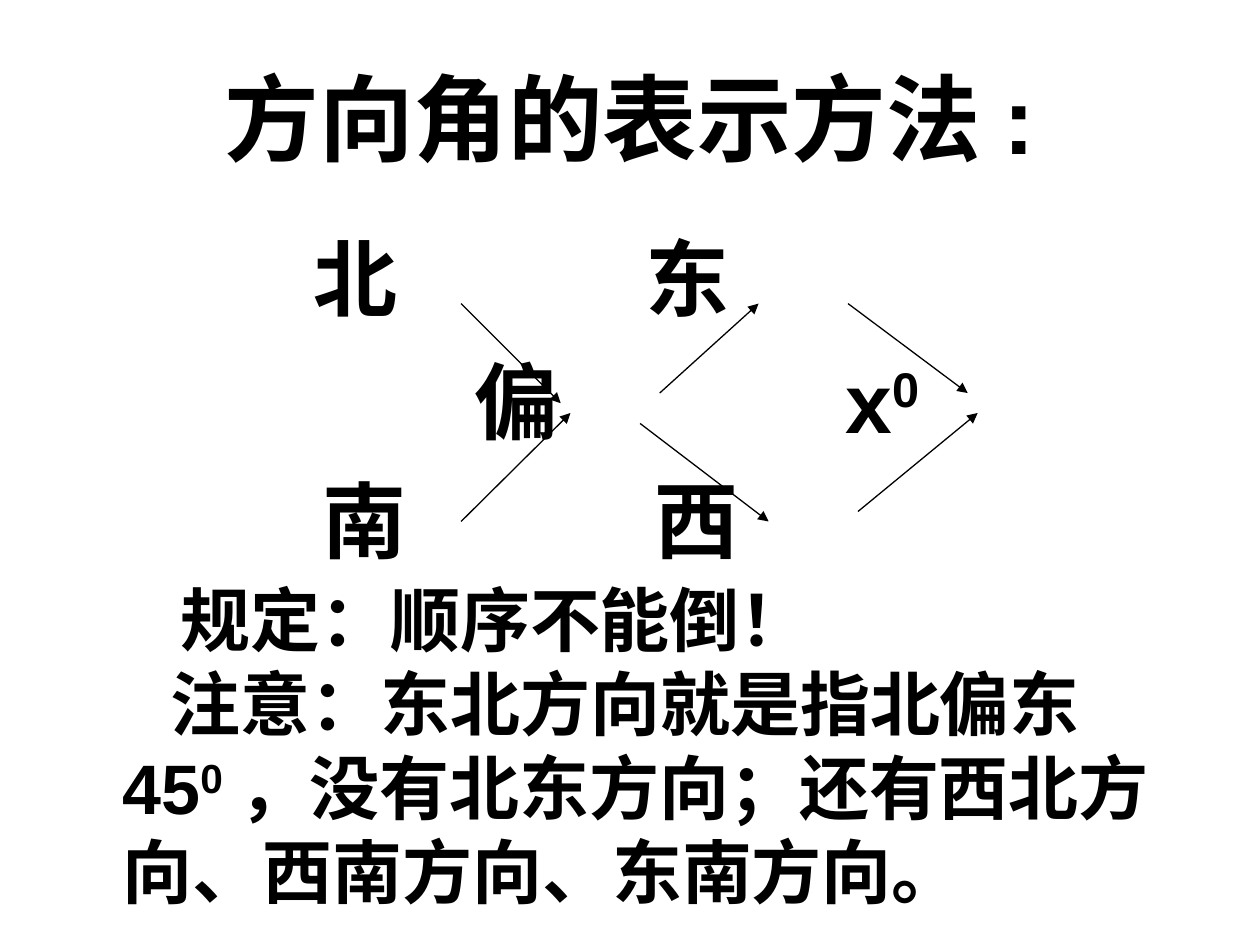
from typing import NamedTuple

from lxml.etree import SubElement
from pptx import Presentation
from pptx.dml.color import RGBColor
from pptx.enum.lang import MSO_LANGUAGE_ID as Language
from pptx.enum.shapes import MSO_CONNECTOR as Connector
from pptx.enum.text import MSO_ANCHOR as Anchor, PP_ALIGN as Align
from pptx.oxml.ns import qn
from pptx.util import Pt

FONT = "Arial"
BLACK = "000000"


class Arrow(NamedTuple):
    x1: float
    y1: float
    x2: float
    y2: float


class Word(NamedTuple):
    text: str
    left: float
    top: float


class Line(NamedTuple):
    """One paragraph; ^ sets off superscript parts."""
    text: str
    size: float
    left: float = 0
    indent: float = 0
    align: Align = Align.LEFT


TITLE = [Line("方向角的表示方法:", 54, align=Align.CENTER)]

TOP_ROW, MIDDLE_ROW, BOTTOM_ROW = 126, 196, 264
WORDS = [
    Word("北", 172, TOP_ROW),
    Word("东", 362, TOP_ROW),
    Word("偏", 264, MIDDLE_ROW),
    Word("x^0", 476, MIDDLE_ROW),
    Word("南", 177, BOTTOM_ROW),
    Word("西", 367, BOTTOM_ROW),
]

RULES = [
    Line("规定：顺序不能倒！", 40, left=27, indent=33),
    Line("注意：东北方向就是指北偏东45^0^，没有北东方向；还有西北方向、西南方向、东南方向。",
         40, left=27, indent=27.5),
]

ARROWS = [
    Arrow(263.5, 173.5, 320.4, 230.4),  # 北 to 偏
    Arrow(263.5, 298, 326, 236),        # 南 to 偏
    Arrow(377, 224.6, 433.5, 173.5),    # 偏 to 东
    Arrow(365.8, 242, 439.2, 298),      # 偏 to 西
    Arrow(484.6, 173.5, 553, 224.6),    # 东 to x
    Arrow(490.3, 292.3, 558.7, 236),    # 西 to x
]


def colour(value: str) -> RGBColor:
    return RGBColor.from_string(value)


def add_run(paragraph, text: str, *, size: float, superscript: bool = False) -> None:
    run = paragraph.add_run()
    run.text = text
    font = run.font
    font.name, font.size, font.bold = FONT, Pt(size), True
    font.color.rgb = colour(BLACK)
    font.language_id = Language.SIMPLIFIED_CHINESE
    if superscript:
        run._r.get_or_add_rPr().set("baseline", "30000")


def format_paragraph(paragraph, line: Line) -> None:
    paragraph.alignment = line.align
    properties = paragraph._p.get_or_add_pPr()
    properties.set("marL", str(Pt(line.left)))
    properties.set("indent", str(Pt(line.indent)))


def add_text(slide, lines: list[Line], *, left: float, top: float, width: float,
             height: float, anchor: Anchor = Anchor.TOP) -> None:
    shape = slide.shapes.add_textbox(Pt(left), Pt(top), Pt(width), Pt(height))
    frame = shape.text_frame
    frame.word_wrap = True
    frame.vertical_anchor = anchor
    for number, line in enumerate(lines):
        paragraph = frame.add_paragraph() if number else frame.paragraphs[0]
        format_paragraph(paragraph, line)
        for index, part in enumerate(line.text.split("^")):
            add_run(paragraph, part, size=line.size, superscript=index % 2 == 1)


def add_arrow(slide, arrow: Arrow) -> None:
    connector = slide.shapes.add_connector(Connector.STRAIGHT, *map(Pt, arrow))
    connector.line.color.rgb = colour(BLACK)
    connector.line.width = Pt(0.75)
    SubElement(connector.line._get_or_add_ln(), qn("a:tailEnd"), type="triangle")
    SubElement(connector._element.spPr, qn("a:effectLst"))


def main() -> None:
    presentation = Presentation()
    presentation.slide_width, presentation.slide_height = Pt(720), Pt(540)
    slide = presentation.slides.add_slide(presentation.slide_layouts[6])

    # Title
    add_text(slide, TITLE, left=36, top=21.6, width=648, height=90, anchor=Anchor.MIDDLE)

    # Direction words
    for word in WORDS:
        add_text(slide, [Line(word.text, 48)], left=word.left, top=word.top,
                 width=90, height=66)

    # Rules
    add_text(slide, RULES, left=36, top=326, width=658.8, height=204)

    # Reading order
    for arrow in ARROWS:
        add_arrow(slide, arrow)

    presentation.save("out.pptx")


if __name__ == "__main__":
    main()
